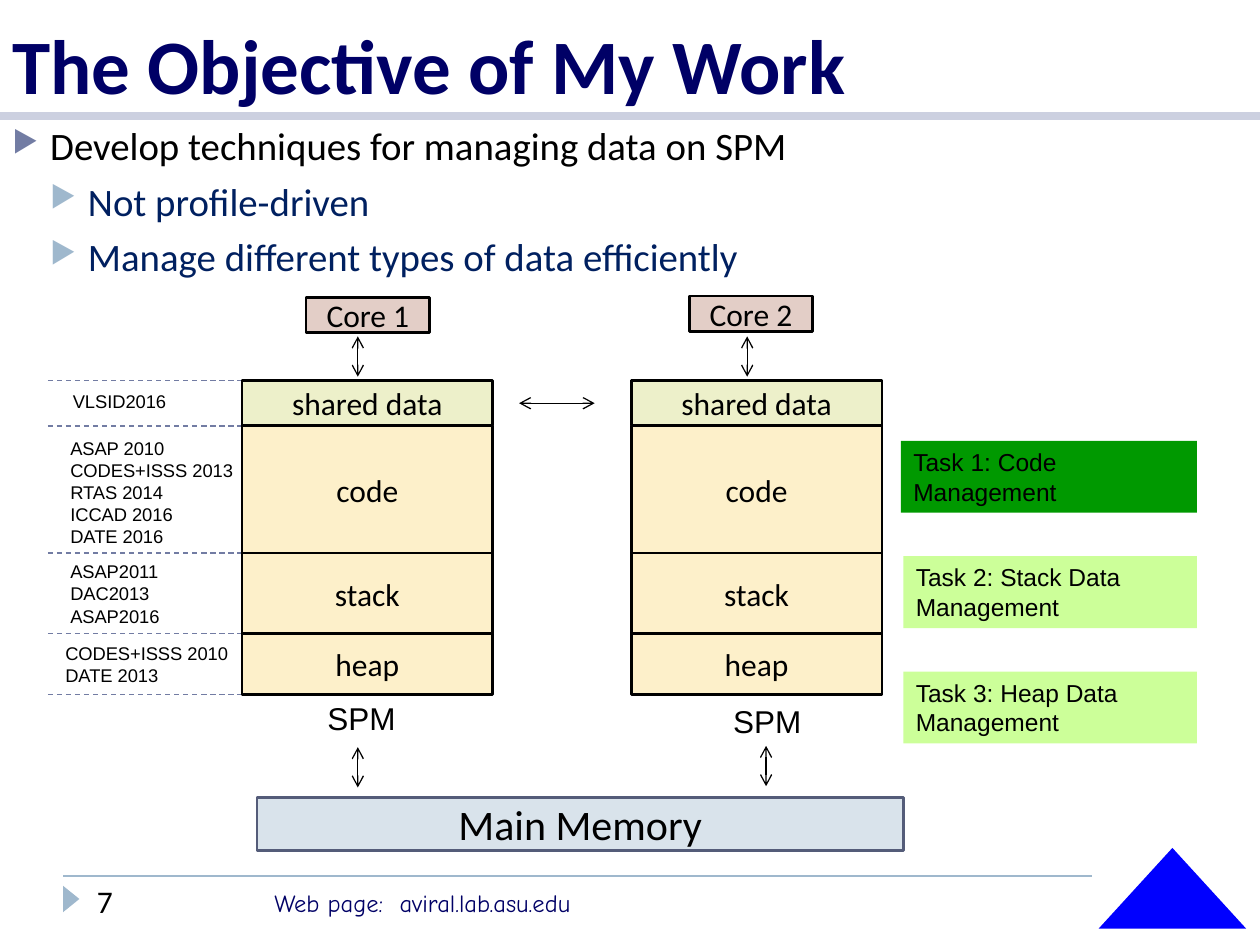
from itertools import accumulate

from pptx import Presentation
from pptx.dml.color import RGBColor
from pptx.enum.dml import MSO_LINE
from pptx.enum.shapes import MSO_CONNECTOR, MSO_SHAPE
from pptx.enum.text import MSO_ANCHOR, PP_ALIGN
from pptx.oxml.ns import qn
from pptx.util import Inches, Pt

COLUMNS, ROWS = 100, 75
CELL = Inches(0.1)
NAVY, BLACK, SLATE, SKY = "000066", "000000", "727CA3", "9FB8CD"
SEGMENTS = [("shared data", 3.6, "EDF0CA"), ("code", 10.1, "FDF0CA"),
            ("stack", 6.4, "FDF0CA"), ("heap", 4.8, "FDF0CA")]
SEGMENT_OFFSETS = [0, *accumulate(height for _, height, _ in SEGMENTS)]
PAPERS = [
    (1, 0.3, ["VLSID2016"]),
    (0.8, 0.4, ["ASAP 2010", "CODES+ISSS 2013", "RTAS 2014", "ICCAD 2016", "DATE 2016"]),
    (0.8, 0.1, ["ASAP2011", "DAC2013", "ASAP2016"]),
    (0.4, 0.2, ["CODES+ISSS 2010", "DATE 2013"]),
]
TASKS = ["Task 1: Code Management", "Task 2: Stack Data Management",
         "Task 3: Heap Data Management"]
BULLETS = [(0, "Develop techniques for managing data on SPM"),
           (1, "Not profile-driven"),
           (1, "Manage different types of data efficiently")]


def color(value):
    return RGBColor.from_string(value)


def grid(*lengths):
    return [round(length * CELL) for length in lengths]


def style_font(font, size, name="Calibri", ink=BLACK, bold=False):
    values = {"size": Pt(size), "name": name, "bold": bold}
    for key, value in values.items():
        setattr(font, key, value)
    font.color.rgb = color(ink)


def write(shape, lines, size, align=PP_ALIGN.LEFT, anchor=MSO_ANCHOR.TOP, **font):
    frame = shape.text_frame
    for key, value in {"word_wrap": True, "vertical_anchor": anchor}.items():
        setattr(frame, key, value)
    for index, line in enumerate(lines):
        para = frame.paragraphs[0] if index == 0 else frame.add_paragraph()
        para.alignment = align
        span = para.add_run()
        span.text = line
        style_font(span.font, size, **font)


def add_text(page, box, lines, size, **style):
    write(page.shapes.add_textbox(*grid(*box)), lines, size, **style)


def add_block(page, box, fill, edge=None, kind=MSO_SHAPE.RECTANGLE):
    block = page.shapes.add_shape(kind, *grid(*box))
    block.shadow.inherit = False
    block.fill.solid()
    block.fill.fore_color.rgb = color(fill)
    if edge:
        block.line.color.rgb = color(edge)
        block.line.width = Pt(1.5)
    else:
        block.line.fill.background()
    return block


def add_label_block(page, box, label, fill, edge=BLACK, size=18):
    block = add_block(page, box, fill, edge)
    write(block, [label], size, align=PP_ALIGN.CENTER, anchor=MSO_ANCHOR.MIDDLE)


def add_line(page, start, end, ink=BLACK, width=0.75, dash=None, arrows=False):
    line = page.shapes.add_connector(MSO_CONNECTOR.STRAIGHT, *grid(*start, *end))
    line.line.color.rgb = color(ink)
    line.line.width = Pt(width)
    if dash:
        line.line.dash_style = dash
    properties = line._element.spPr
    if arrows:
        outline = properties.find(qn("a:ln"))
        for end_tag in ("a:headEnd", "a:tailEnd"):
            outline.makeelement(qn(end_tag), {})
            outline.append(outline.makeelement(qn(end_tag), {"type": "arrow"}))
    properties.append(properties.makeelement(qn("a:effectLst"), {}))


def add_header(page, box):
    left, top, width, height = box
    add_line(page, (left, top + height), (left + width, top + height), "CCD0E0", 5)
    add_text(page, box, ["The Objective of My Work"], 44,
             anchor=MSO_ANCHOR.BOTTOM, ink=NAVY, bold=True)


def add_bullets(page, box):
    shape = page.shapes.add_textbox(*grid(*box))
    write(shape, [text for _, text in BULLETS], 22.2)
    for index, (level, _) in enumerate(BULLETS):
        para = shape.text_frame.paragraphs[index]
        para.level = level
        if index:
            para.space_before = Pt(5)
        para.runs[0].font.color.rgb = color("002060" if level else BLACK)
        properties = para._p.get_or_add_pPr()
        properties.set("marL", str(Inches(0.3 * (level + 1))))
        properties.set("indent", str(Inches(-0.3)))
        bullet_color = properties.makeelement(qn("a:buClr"), {})
        bullet_color.append(bullet_color.makeelement(
            qn("a:srgbClr"), {"val": SKY if level else SLATE}))
        properties.append(bullet_color)
        for tag, values in (("a:buSzPct", {"val": "76000"}), ("a:buChar", {"char": "▶"})):
            properties.append(properties.makeelement(qn(tag), values))


def add_core(page, box, name, core_at, spm_at, memory_arrow):
    """Draw a core above its scratchpad; positions are offsets from the box."""
    left, top, width, _ = box
    add_label_block(page, (left + core_at[0], top + core_at[1], 9.8, 2.8), name, "E3CEC7")
    add_line(page, (left + 9.2, top - 3.5), (left + 9.2, top - 0.3), arrows=True)
    for offset, (label, height, fill) in zip(SEGMENT_OFFSETS, SEGMENTS):
        add_label_block(page, (left, top + offset, width, height), label, fill)
    add_text(page, (left + spm_at[0], top + spm_at[1], 8.9, 4), ["SPM"], 18, name="Arial")
    x, y = left + memory_arrow[0], top + memory_arrow[1]
    add_line(page, (x, y), (x, y + 3.2), arrows=True)


def add_papers(page, box):
    left, top, width, _ = box
    for offset in SEGMENT_OFFSETS:
        add_line(page, (left, top + offset), (left + width, top + offset),
                 SLATE, dash=MSO_LINE.DASH)
    for offset, (indent, drop, lines) in zip(SEGMENT_OFFSETS, PAPERS):
        add_text(page, (left + indent, top + offset + drop, 16.3, 1.1 + 1.75 * len(lines)),
                 lines, 10.5, name="Arial")


def add_tasks(page, box):
    left, top, width, height = box
    for index, task in enumerate(TASKS):
        inset = 0.2 if index else 0
        block = add_block(page, (left + inset, top + 9.15 * index, width - inset, height),
                          "CCFF99" if index else "009900")
        write(block, [task], 14, name="Arial")


def add_footer(page, box):
    left, top, width, _ = box
    add_line(page, (left, top), (left + width, top), SKY, 1)
    marker = add_block(page, (left - 0.4, top + 1.2, 2.1, 1.3), SKY,
                       kind=MSO_SHAPE.ISOSCELES_TRIANGLE)
    marker.rotation = 90
    add_text(page, (left + 1.7, top, 14.1, 4), ["7"], 18)
    add_text(page, (left + 15.8, top + 0.5, 37.5, 3.4),
             ["Web page:  aviral.lab.asu.edu"], 14, name="Comic Neue", ink=NAVY)
    add_block(page, (left + width + 0.5, top - 2.2, 11.7, 6.4), "0000FF",
              kind=MSO_SHAPE.ISOSCELES_TRIANGLE)


def main():
    deck = Presentation()
    deck.slide_width, deck.slide_height = grid(COLUMNS, ROWS)
    page = deck.slides.add_slide(deck.slide_layouts[6])
    add_footer(page, (5, 69.5, 81.7, 5.5))
    add_header(page, (0, 0, COLUMNS, 9.2))
    add_bullets(page, (0, 9.2, COLUMNS, 13))
    add_papers(page, (3.8, 30.2, 15.4, 24.9))
    add_core(page, (19.2, 30.2, 19.9, 24.9), "Core 1", (5.1, -6.6), (5.8, 24.8), (9.2, 29.1))
    add_core(page, (50.1, 30.2, 19.9, 24.9), "Core 2", (4.6, -6.7), (7.1, 25), (10.7, 29))
    add_line(page, (41.2, 32), (47.2, 32), arrows=True)
    add_label_block(page, (20.4, 63.3, 51.3, 4.2), "Main Memory", "D9E3EB", "545C79", 24)
    add_tasks(page, (71.5, 35, 23.5, 5.7))
    deck.save("out.pptx")


if __name__ == "__main__":
    main()
